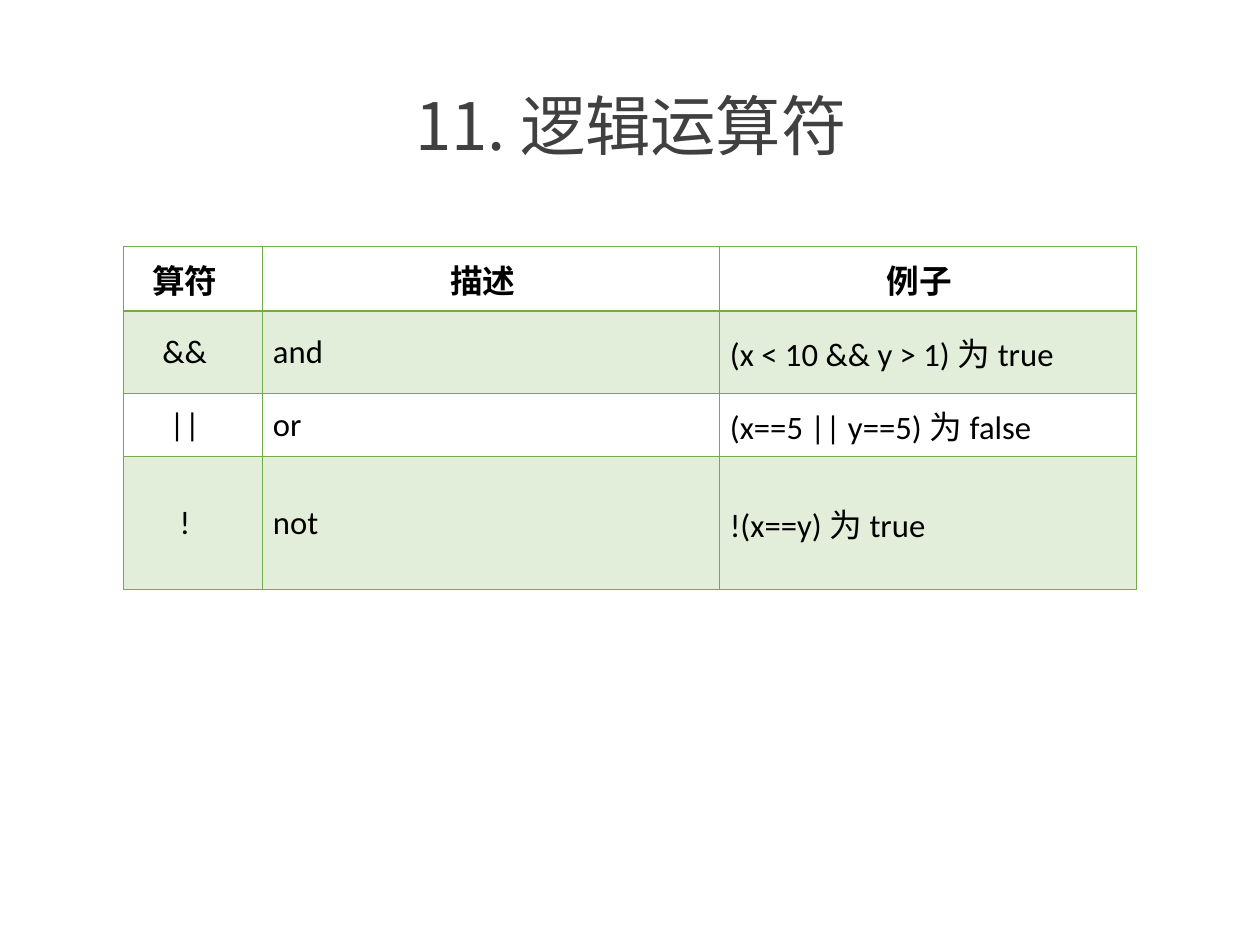
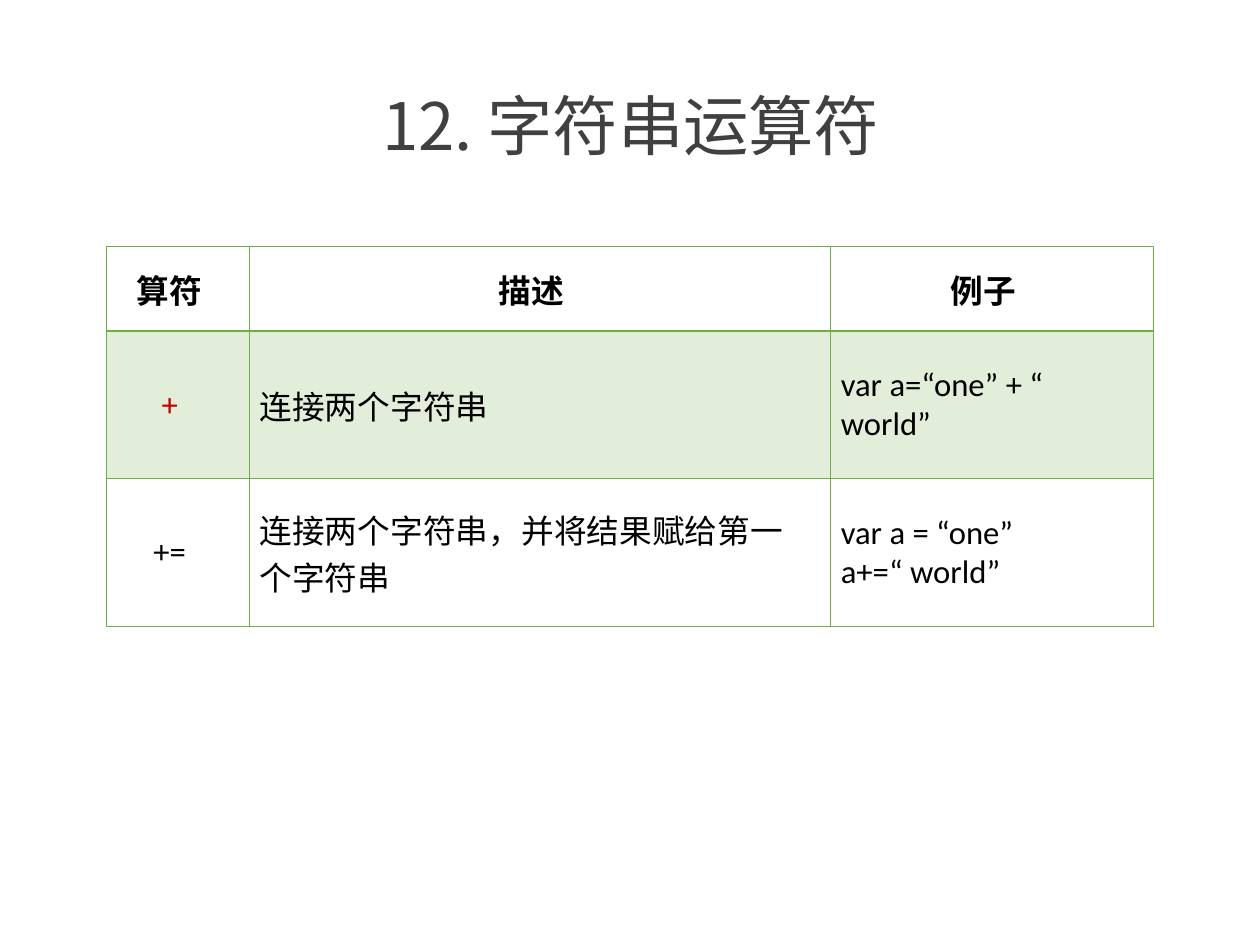
from lxml.etree import SubElement
from pptx import Presentation
from pptx.dml.color import RGBColor
from pptx.enum.text import MSO_ANCHOR as Anchor, PP_ALIGN as Align
from pptx.oxml.ns import qn
from pptx.util import Inches, Pt

COLORS = {
    "title": "404040",
    "text": "000000",
    "highlight": "C00000",
    "green": "70AD47",
}
LATIN_FONT = "Calibri"
CHINESE_FONT = "Noto Sans CJK SC"
SLIDE_WIDTH = 7.5
SLIDE_HEIGHT = SLIDE_WIDTH * 3 / 4
TABLE_TOP = 1.47
BAND_OPACITY = 20
THIN, THICK = 0.45, 0.96
HEADERS = ["算符", "描述", "例子"]


def style_paragraph(paragraph, size, color, latin=LATIN_FONT, bold=False, align=Align.LEFT):
    paragraph.alignment = align
    font = paragraph.font
    font.size = Pt(size)
    font.bold = bold
    font.color.rgb = RGBColor.from_string(COLORS[color])
    font.name = latin
    defaults = paragraph._p.pPr.find(qn("a:defRPr"))
    SubElement(defaults, qn("a:ea"), typeface=CHINESE_FONT)


def add_title(slide, text):
    box = slide.shapes.add_textbox(Inches(0.52), Inches(0.3), Inches(6.47), Inches(0.94))
    frame = box.text_frame
    frame.word_wrap = True
    frame.vertical_anchor = Anchor.MIDDLE
    frame.text = text
    paragraph = frame.paragraphs[0]
    paragraph.line_spacing = 0.9
    style_paragraph(paragraph, 28, "title", latin=CHINESE_FONT, align=Align.CENTER)


def set_borders(cell, row):
    widths = {
        "a:lnL": THIN,
        "a:lnR": THIN,
        "a:lnT": THICK if row == 1 else THIN,
        "a:lnB": THICK if row == 0 else THIN,
    }
    properties = cell._tc.get_or_add_tcPr()
    for tag, width in widths.items():
        line = SubElement(properties, qn(tag), w=str(Pt(width)))
        fill = SubElement(line, qn("a:solidFill"))
        SubElement(fill, qn("a:srgbClr"), val=COLORS["green"])


def set_fill(cell, banded):
    if not banded:
        cell.fill.background()
        return
    cell.fill.solid()
    cell.fill.fore_color.rgb = RGBColor.from_string(COLORS["green"])
    color = cell._tc.tcPr.find(qn("a:solidFill")).find(qn("a:srgbClr"))
    SubElement(color, qn("a:alpha"), val=str(BAND_OPACITY * 1000))


def fill_cell(cell, text, row, column, highlighted):
    cell.text = text
    cell.vertical_anchor = Anchor.MIDDLE
    cell.margin_left, cell.margin_right = Inches(0.06), Inches(0.16)
    cell.margin_top = cell.margin_bottom = Inches(0.05)
    centered = row == 0 or column == 0
    for paragraph in cell.text_frame.paragraphs:
        style_paragraph(
            paragraph,
            14,
            "highlight" if highlighted else "text",
            bold=row == 0,
            align=Align.CENTER if centered else Align.LEFT,
        )
    set_borders(cell, row)
    set_fill(cell, banded=row % 2 == 1)


def add_operator_table(slide, widths, heights, operators, highlight=None):
    rows = [HEADERS, *operators]
    total_width = sum(widths)
    table = slide.shapes.add_table(
        len(rows),
        len(HEADERS),
        Inches((SLIDE_WIDTH - total_width) / 2),
        Inches(TABLE_TOP),
        Inches(total_width),
        Inches(sum(heights)),
    ).table
    table.first_row = table.horz_banding = False
    for table_column, width in zip(table.columns, widths):
        table_column.width = Inches(width)
    for table_row, height in zip(table.rows, heights):
        table_row.height = Inches(height)
    for row, texts in enumerate(rows):
        for column, text in enumerate(texts):
            fill_cell(table.cell(row, column), text, row, column, text == highlight)


def add_operator_slide(presentation, title, **table_options):
    slide = presentation.slides.add_slide(presentation.slide_layouts[6])
    add_title(slide, title)
    add_operator_table(slide, **table_options)


def main():
    presentation = Presentation()
    presentation.slide_width = Inches(SLIDE_WIDTH)
    presentation.slide_height = Inches(SLIDE_HEIGHT)
    add_operator_slide(
        presentation,
        "11. 逻辑运算符",
        widths=[0.83, 2.72, 2.48],
        heights=[0.38, 0.49, 0.38, 0.79],
        operators=[
            ["&&", "and", "(x < 10 && y > 1) 为 true"],
            ["||", "or", "(x==5 || y==5) 为 false"],
            ["!", "not", "!(x==y) 为 true"],
        ],
    )
    add_operator_slide(
        presentation,
        "12. 字符串运算符",
        widths=[0.85, 3.46, 1.92],
        heights=[0.5, 0.88, 0.88],
        operators=[
            ["+", "连接两个字符串", "var a=“one” + “ world”"],
            ["+=", "连接两个字符串，并将结果赋给第一个字符串", "var a = “one”\na+=“ world”"],
        ],
        highlight="+",
    )
    presentation.save("out.pptx")


if __name__ == "__main__":
    main()
